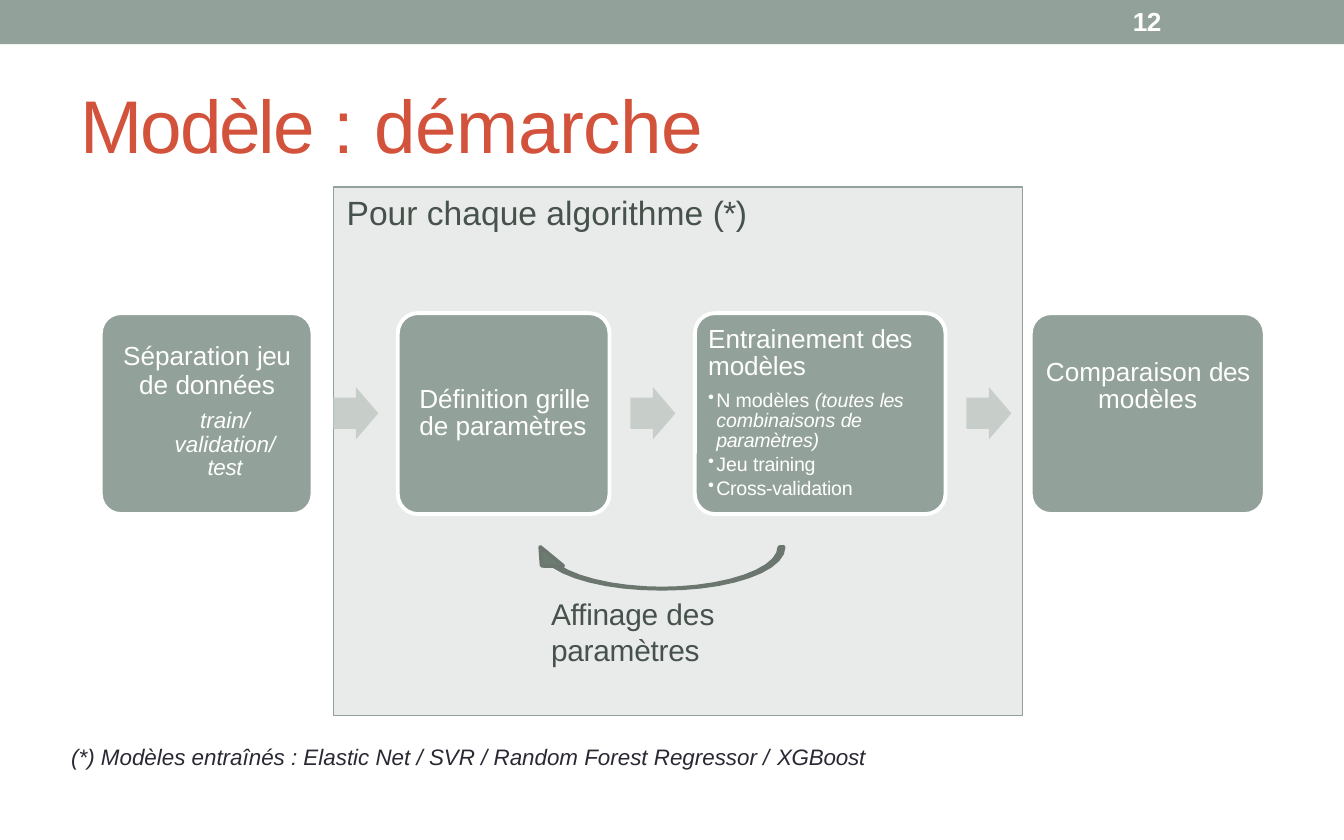
import math
from dataclasses import dataclass

import pptx
import pptx.dml.color
import pptx.enum.shapes
import pptx.enum.text
import pptx.oxml.ns
import pptx.util
from lxml import etree

SHAPES = pptx.enum.shapes.MSO_SHAPE
CENTER = pptx.enum.text.PP_ALIGN.CENTER


@dataclass(frozen=True)
class Theme:
    font: str = "Arial"
    white: str = "FFFFFF"
    sage: str = "92A199"
    panel: str = "E9EBEB"
    arrow: str = "C7CEC9"
    loop: str = "6B7C71"
    loop_edge: str = "6B766E"
    title: str = "D2523B"
    label: str = "46524B"
    note: str = "292934"
    title_size: float = 40
    panel_size: float = 18
    loop_size: float = 16
    step_size: float = 14
    detail_size: float = 12
    bullet_size: float = 10.5
    thin: float = 0.75
    thick: float = 2.08


@dataclass
class Run:
    text: str
    tracking: float = 0
    italic: bool = False


@dataclass
class Paragraph:
    runs: list
    size: float
    color: str = Theme.white
    before: float = 1
    line: object = None
    align: object = None
    indent: float = 0
    bold: bool = False
    bullet: bool = False


class Deck:
    COLUMNS, ROWS = 100, 62.5

    def __init__(self, theme):
        self.theme = theme
        self.presentation = pptx.Presentation()
        self.presentation.slide_width = pptx.util.Inches(10)
        self.presentation.slide_height = pptx.util.Inches(6.25)
        self.slide = self.presentation.slides.add_slide(self.presentation.slide_layouts[6])

    def x(self, columns):
        return round(self.presentation.slide_width * columns / self.COLUMNS)

    def y(self, rows):
        return round(self.presentation.slide_height * rows / self.ROWS)

    def frame(self, left, top, width, height):
        return self.x(left), self.y(top), self.x(width), self.y(height)

    def paint(self, shape, fill, line=None, weight=None):
        shape.shadow.inherit = False
        shape.fill.solid()
        shape.fill.fore_color.rgb = pptx.dml.color.RGBColor.from_string(fill)
        if line:
            shape.line.color.rgb = pptx.dml.color.RGBColor.from_string(line)
            shape.line.width = pptx.util.Pt(weight)
        else:
            shape.line.fill.background()

    def block(self, kind, box, fill, line=None, weight=None, adjustments=()):
        shape = self.slide.shapes.add_shape(kind, *self.frame(*box))
        for index, value in enumerate(adjustments):
            shape.adjustments[index] = value
        self.paint(shape, fill, line, weight)

    def step(self, left, width):
        self.block(SHAPES.ROUNDED_RECTANGLE, (left, 23.3, width, 14.95),
                   self.theme.sage, self.theme.white, self.theme.thick, [0.1])

    def arrow(self, left):
        self.block(SHAPES.RIGHT_ARROW, (left, 28.8, 3.35, 3.9),
                   self.theme.arrow, adjustments=[0.6, 0.5])

    def outline(self, points, fill, line, weight):
        grid = [(self.x(column), self.y(row)) for column, row in points]
        builder = self.slide.shapes.build_freeform(*grid[0], scale=1.0)
        builder.add_line_segments(grid[1:], close=True)
        self.paint(builder.convert_to_shape(), fill, line, weight)

    def text(self, box, paragraphs, inset=0.1):
        shape = self.slide.shapes.add_textbox(*self.frame(*box))
        frame = shape.text_frame
        frame.word_wrap = True
        frame.margin_left = frame.margin_right = frame.margin_bottom = 0
        frame.margin_top = self.y(inset)
        for index, content in enumerate(paragraphs):
            paragraph = frame.paragraphs[0] if index == 0 else frame.add_paragraph()
            self.fill_paragraph(paragraph, content)

    def fill_paragraph(self, paragraph, content):
        paragraph.space_before = pptx.util.Pt(content.before)
        if content.align is not None:
            paragraph.alignment = content.align
        if content.line:
            paragraph.line_spacing = content.line
        properties = paragraph._p.get_or_add_pPr()
        if content.indent:
            properties.set("marL", str(self.x(content.indent)))
        if content.bullet:
            properties.set("indent", str(-self.x(content.indent)))
            self.add_bullet(properties)
        for item in content.runs:
            run = paragraph.add_run()
            run.text = item.text
            run.font.name = self.theme.font
            run.font.size = pptx.util.Pt(content.size)
            run.font.bold = content.bold
            run.font.italic = item.italic
            run.font.color.rgb = pptx.dml.color.RGBColor.from_string(content.color)
            if item.tracking:
                run._r.get_or_add_rPr().set("spc", str(round(item.tracking * 100)))

    def add_bullet(self, properties):
        name = pptx.oxml.ns.qn
        color = etree.SubElement(properties, name("a:buClr"))
        etree.SubElement(color, name("a:srgbClr")).set("val", self.theme.white)
        etree.SubElement(properties, name("a:buSzPct")).set("val", "90000")
        etree.SubElement(properties, name("a:buChar")).set("char", "•")


def arc(center, degrees):
    return [(center + 8.9 * math.cos(math.radians(angle)),
             40.7 + 3.1 * math.sin(math.radians(angle))) for angle in degrees]


def main():
    theme = Theme()
    deck = Deck(theme)
    step_line = pptx.util.Pt(14.5)
    first_line = pptx.util.Pt(15.7)

    deck.block(SHAPES.RECTANGLE, (0, 0, 100, 3.3), theme.sage)
    deck.block(SHAPES.RECTANGLE, (24.8, 13.9, 51.3, 39.35), theme.panel, theme.sage, theme.thin)
    for left, width in ((7.5, 15.75), (29.6, 15.75), (51.7, 18.65), (76.7, 17.4)):
        deck.step(left, width)
    for left in (24.8, 46.9, 71.9):
        deck.arrow(left)

    sweep = range(0, 154, 9)
    arrowhead = [(41.9, 42.1), (40.2, 40.7), (40.3, 42.1)]
    deck.outline(arc(49.4, sweep) + arrowhead + arc(49.1, reversed(sweep)),
                 theme.loop, theme.loop_edge, theme.thick)

    deck.text((5.9, 5.8, 84.6, 10.5), [Paragraph(
        [Run("Modèle ", -1.1), Run(": "), Run("démarche", -0.3)],
        theme.title_size, theme.title, indent=0.1)])
    deck.text((84.2, 0.3, 2.4, 2.5), [Paragraph(
        [Run("12", -0.3)], theme.step_size, indent=0.1, bold=True)])
    deck.text((9, 25.3, 12.8, 10.4), [
        Paragraph([Run("Séparation "), Run("jeu", -0.3)], theme.step_size,
                  before=1.1, line=first_line, align=CENTER),
        Paragraph([Run("de "), Run("données", -0.1)], theme.step_size,
                  before=0, line=first_line, align=CENTER),
        Paragraph([Run("train/ validation/ ", italic=True), Run("test", -0.2, True)],
                  theme.detail_size, before=5.6, line=0.86, align=CENTER, indent=2.7)])
    deck.text((31.1, 28.3, 12.9, 4.5), [Paragraph(
        [Run("Définition "), Run("grille ", -0.1), Run("de "), Run("paramètres", -0.1)],
        theme.step_size, before=3.4, line=step_line, indent=0.1)], 0.5)
    deck.text((52.7, 23.8, 15.4, 13.3), [
        Paragraph([Run("Entrainement "), Run("des ", -0.3), Run("modèles", -0.1)],
                  theme.step_size, before=3.4, line=step_line),
        Paragraph([Run("N modèles "), Run("(toutes ", 0, True), Run("les ", -0.3, True),
                   Run("combinaisons ", 0, True), Run("de ", -0.3, True),
                   Run("paramètres)", -0.1, True)],
                  theme.bullet_size, before=5.7, line=0.86, indent=0.6, bullet=True),
        Paragraph([Run("Jeu "), Run("training", -0.1)],
                  theme.bullet_size, before=0, indent=0.6, bullet=True),
        Paragraph([Run("Cross-validation", -0.1)],
                  theme.bullet_size, before=0.1, indent=0.6, bullet=True)], 0.5)
    deck.text((77.6, 26.3, 15.5, 4.5), [Paragraph(
        [Run("Comparaison "), Run("des ", -0.3), Run("modèles")],
        theme.step_size, before=3.3, line=0.86, align=CENTER, indent=0.1)], 0.5)
    deck.text((41, 44.2, 15.5, 5.5), [Paragraph(
        [Run("Affinage ", -0.1), Run("des "), Run("paramètres", -0.1)],
        theme.loop_size, theme.label)])
    deck.text((25.8, 14.2, 32, 3.1), [Paragraph(
        [Run("Pour chaque algorithme "), Run("(*)", -0.3)], theme.panel_size, theme.label)])
    deck.text((5.2, 55.2, 79.4, 2.1), [Paragraph(
        [Run("(*) Modèles entraînés : Elastic Net / SVR / Random Forest Regressor / ", 0, True),
         Run("XGBoost", -0.1, True)], theme.detail_size, theme.note, indent=0.1)])

    deck.presentation.save("out.pptx")


if __name__ == "__main__":
    main()
